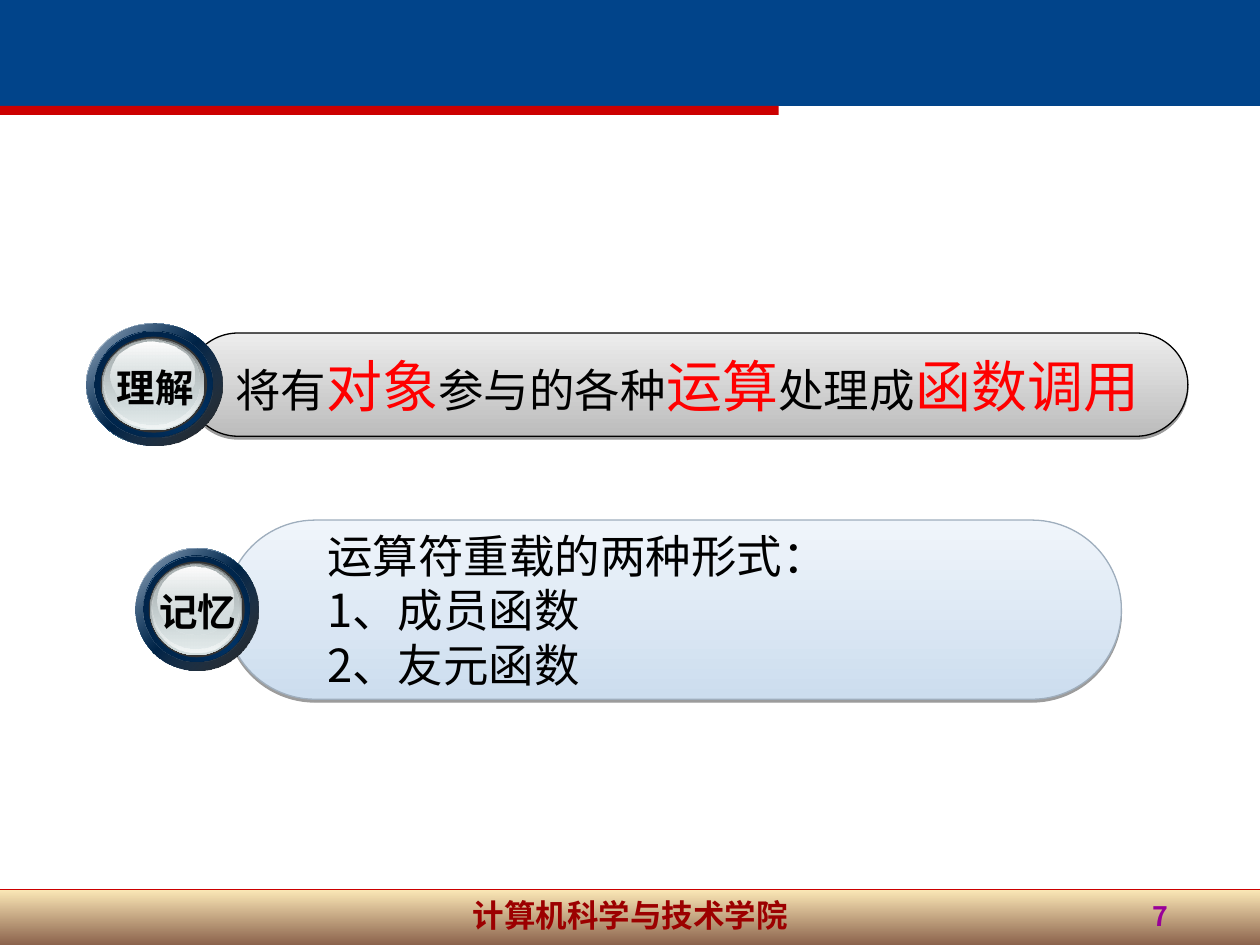
from lxml.etree import SubElement
from pptx import Presentation
from pptx.dml.color import RGBColor
from pptx.enum.shapes import MSO_CONNECTOR, MSO_SHAPE
from pptx.enum.text import MSO_ANCHOR, PP_ALIGN
from pptx.oxml.ns import qn
from pptx.util import Pt

FONT = "Noto Sans CJK SC"
COLORS = {
    "header": "01448A", "accent": "CC0000", "gold": "FCE2A0", "brown": "663012",
    "school": "9C0000", "number": "990099", "black": "000000", "red": "FF0000",
    "gray": "BCBCBC", "light_gray": "EDEDED", "blue": "CCDDEE",
    "light_blue": "F0F5FB", "blue_edge": "9FAEBD", "white": "FFFFFF",
    "navy": "003366", "deep_navy": "001C37", "dark_navy": "002041",
    "charcoal": "333333", "slate": "636869", "silver": "D6E1E2",
    "pale": "F1F5F5", "steel": "AAB2B3",
}

# Badge discs, back to front: left, top, width, height, fill.
# A fill is a colour, or (angle, stops) with stops of position, colour, opacity.
DISCS = [
    (0, 0, 70, 70, (45, [(0, "white", 100), (50, "navy", 100), (100, "white", 100)])),
    (0, 0, 70, 70, (45, [(0, "navy", 32), (100, "black", 90)])),
    (4.5, 4.4, 60.5, 60.5,
     (315, [(0, "deep_navy", 100), (50, "navy", 100), (100, "deep_navy", 100)])),
    (4.5, 4.6, 60.5, 60.5, (45, [(0, "dark_navy", 100), (100, "navy", 0)])),
    (7.5, 7.6, 54.8, 54.8, "charcoal"),
    (8.2, 8.6, 52.8, 52.6, (90, [(0, "slate", 100), (100, "silver", 100)])),
    (8.9, 8.7, 51.3, 51.2, (90, [(0, "silver", 0), (100, "pale", 100)])),
    (9.5, 9.4, 49, 48.2, (90, [(0, "steel", 100), (100, "silver", 48)])),
    (12.5, 10.5, 43.5, 38.9, (90, [(0, "white", 100), (100, "silver", 38)])),
]


def rgb(name):
    return RGBColor.from_string(COLORS[name])


def add_color(parent, name, opacity):
    color = SubElement(parent, qn("a:srgbClr"), val=COLORS[name])
    if opacity < 100:
        SubElement(color, qn("a:alpha"), val=str(opacity * 1000))


def fill_gradient(shape, angle, stops):
    """Fill with a linear gradient; the angle runs clockwise from rightwards."""
    shape.fill.gradient()
    gradient = shape.fill._xPr.find(qn("a:gradFill"))
    for child in list(gradient):
        gradient.remove(child)
    stop_list = SubElement(gradient, qn("a:gsLst"))
    for position, name, opacity in stops:
        stop = SubElement(stop_list, qn("a:gs"), pos=str(position * 1000))
        add_color(stop, name, opacity)
    SubElement(gradient, qn("a:lin"), ang=str(angle * 60000), scaled="0")


def add_block(shapes, kind, left, top, width, height, fill, edge=None):
    block = shapes.add_shape(kind, Pt(left), Pt(top), Pt(width), Pt(height))
    block.shadow.inherit = False
    if isinstance(fill, tuple):
        fill_gradient(block, *fill)
    else:
        block.fill.solid()
        block.fill.fore_color.rgb = rgb(fill)
    if edge:
        block.line.color.rgb = rgb(edge)
        block.line.width = Pt(0.75)
    else:
        block.line.fill.background()
    return block


def add_drop_shadow(shape):
    effects = shape._element.spPr.find(qn("a:effectLst"))
    shadow = SubElement(effects, qn("a:outerShdw"), blurRad="0", dist=str(Pt(1.6)),
                        dir="5400000", algn="ctr", rotWithShape="0")
    add_color(shadow, "black", 38)


def write_text(frame, paragraphs, align=PP_ALIGN.LEFT, anchor=MSO_ANCHOR.TOP,
               wrap=True, indent=0, bold=False):
    """Fill a frame with paragraphs, each a list of (text, size, colour) runs."""
    frame.word_wrap = wrap
    frame.vertical_anchor = anchor
    for index, runs in enumerate(paragraphs):
        paragraph = frame.paragraphs[0] if index == 0 else frame.add_paragraph()
        paragraph.alignment = align
        if indent:
            properties = paragraph._p.get_or_add_pPr()
            properties.set("marL", str(Pt(indent)))
            properties.set("indent", "0")
        for text, size, color in runs:
            run = paragraph.add_run()
            run.text = text
            run.font.size = Pt(size)
            run.font.bold = bold
            run.font.color.rgb = rgb(color)
            run.font.name = FONT
            SubElement(run._r.get_or_add_rPr(), qn("a:ea"), typeface=FONT)


def add_label(shapes, left, top, width, height, text, size, color, **text_format):
    label = shapes.add_textbox(Pt(left), Pt(top), Pt(width), Pt(height))
    write_text(label.text_frame, [[(text, size, color)]], bold=True, **text_format)


def add_pill(shapes, left, top, width, height, fill, edge, paragraphs, **text_format):
    pill = add_block(shapes, MSO_SHAPE.ROUNDED_RECTANGLE, left, top, width, height,
                     fill, edge)
    pill.adjustments[0] = 0.5
    add_drop_shadow(pill)
    write_text(pill.text_frame, paragraphs, anchor=MSO_ANCHOR.MIDDLE, **text_format)


def add_badge(shapes, left, top, stretch, label, label_left):
    for x, y, width, height, fill in DISCS:
        add_block(shapes, MSO_SHAPE.OVAL, left + x * stretch, top + y,
                  width * stretch, height, fill)
    add_label(shapes, label_left, top + 19.4, 58.3, 33.8, label, 22, "black",
              wrap=False)


def add_frame(shapes):
    """Header band, footer band, school name and page number."""
    footer_top = 508.3
    add_block(shapes, MSO_SHAPE.RECTANGLE, 0, footer_top, 720, 31.7,
              (90, [(0, "gold", 75), (100, "brown", 75)]))
    rule = shapes.add_connector(MSO_CONNECTOR.STRAIGHT, 0, Pt(footer_top),
                                Pt(720), Pt(footer_top))
    rule.line.color.rgb = rgb("accent")
    rule.line.width = Pt(0.25)
    SubElement(rule._element.spPr, qn("a:effectLst"))
    add_label(shapes, 246.2, footer_top, 228.2, 31.7, "计算机科学与技术学院", 18,
              "school", align=PP_ALIGN.CENTER)
    add_block(shapes, MSO_SHAPE.RECTANGLE, 0, 0, 720, 60.5, "header")
    add_block(shapes, MSO_SHAPE.RECTANGLE, 0, 60.5, 445, 5.2, "accent")
    add_label(shapes, 518.4, 510.5, 156.2, 31.7, "7", 15.3, "number",
              align=PP_ALIGN.RIGHT)


def main():
    presentation = Presentation()
    presentation.slide_width, presentation.slide_height = Pt(720), Pt(540)
    slide = presentation.slides.add_slide(presentation.slide_layouts[6])
    add_frame(slide.shapes)

    understand = slide.shapes.add_group_shape().shapes
    sentence = [
        ("将有", 26, "black"), ("对象", 32, "red"), ("参与的各种", 26, "black"),
        ("运算", 32, "red"), ("处理成", 26, "black"), ("函数调用", 32, "red"),
    ]
    add_pill(understand, 106.6, 190.3, 572.2, 59,
             (270, [(0, "gray", 100), (100, "light_gray", 100)]), "black",
             [sentence], align=PP_ALIGN.CENTER, wrap=False)
    add_badge(understand, 49.2, 184.8, 1.11, "理解", 59.6)

    remember = slide.shapes.add_group_shape().shapes
    forms = ["运算符重载的两种形式：", "1、成员函数", "2、友元函数"]
    add_pill(remember, 128.9, 297.2, 511.9, 102.4,
             (270, [(0, "blue", 100), (100, "light_blue", 100)]), "blue_edge",
             [[(form, 26, "black")] for form in forms], indent=36)
    add_badge(remember, 77.5, 313.2, 1, "记忆", 83.8)

    presentation.save("out.pptx")


if __name__ == "__main__":
    main()
